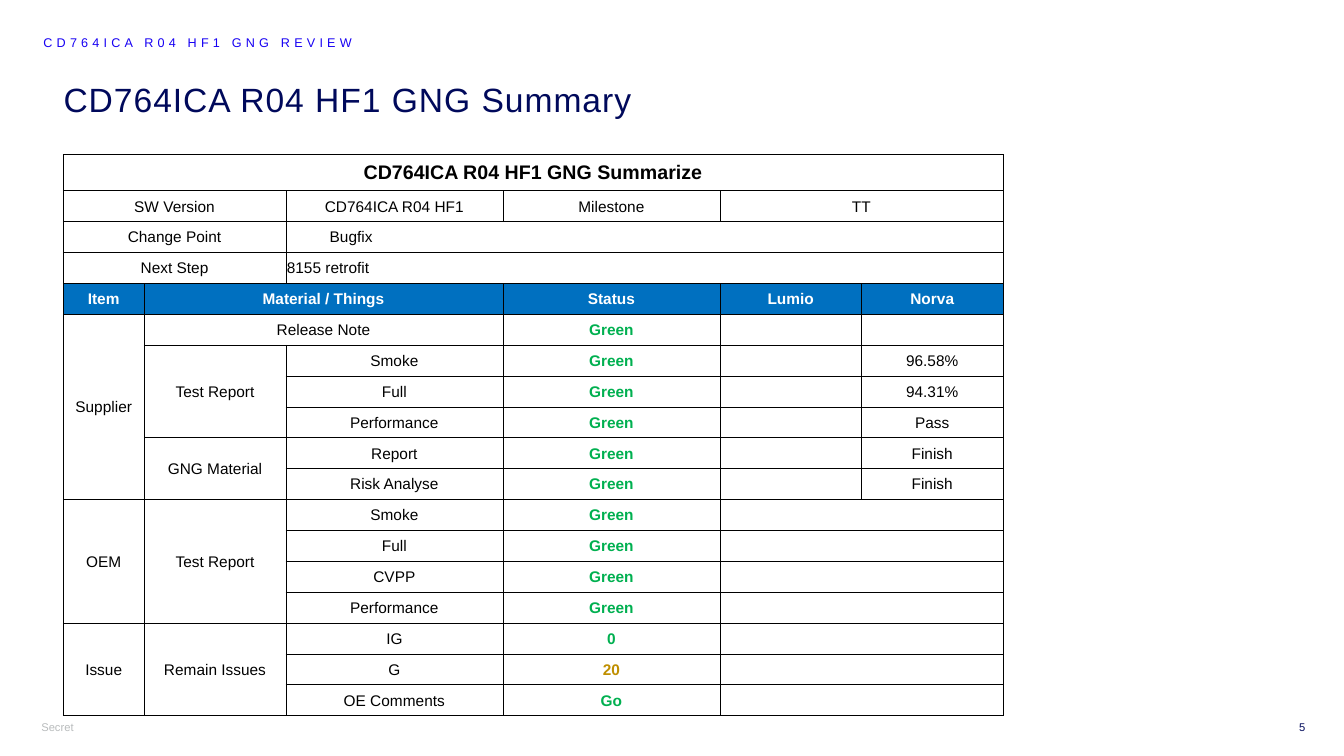
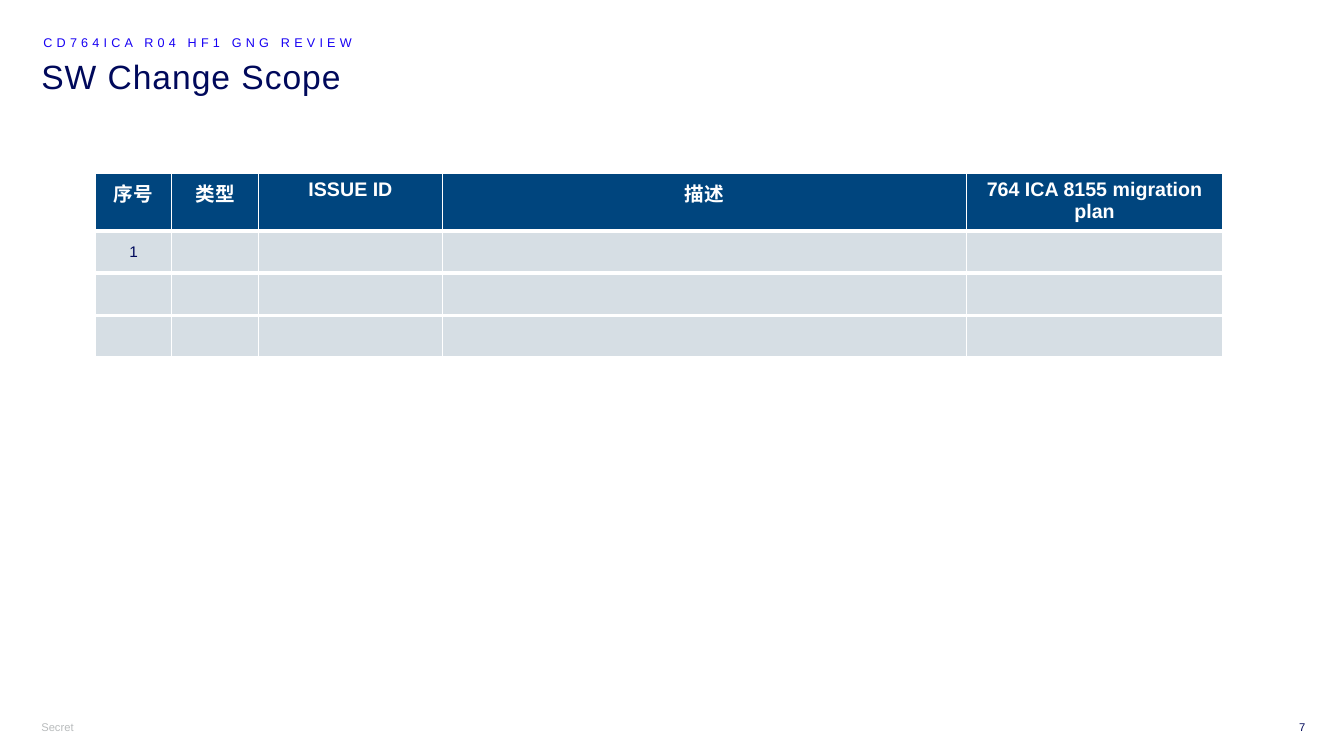
"""Build the two GNG review slides: summary table and software change scope."""
from pptx import Presentation
from pptx.dml.color import RGBColor
from pptx.enum.text import MSO_ANCHOR as Anchor, PP_ALIGN as Align
from pptx.oxml.ns import qn
from pptx.util import Pt
from lxml.etree import SubElement

FONT = "Arial"
NAVY, VIOLET, GREY = "00095B", "1700F3", "B9BCBD"
BLACK, WHITE = "000000", "FFFFFF"
GREEN, AMBER = "00B050", "BF8F00"
SUMMARY_HEAD, SCOPE_HEAD, SCOPE_BODY = "0070C0", "00457E", "D6DEE4"

LEFT, UP = "<", "^"
SUMMARY_LEFT, SUMMARY_TOP = 45.2, 110.3
SUMMARY_COLUMNS = [57.8, 101.2, 155, 155, 101.2, 101]
SUMMARY_ROWS = [26] + [22.06] * 17
HEADING_ROW = 4
STATUS_COLUMN = 3
BUGFIX_INDENT = 31.3
SUMMARY = [
    ["CD764ICA R04 HF1 GNG Summarize", LEFT, LEFT, LEFT, LEFT, LEFT],
    ["SW Version", LEFT, "CD764ICA R04 HF1", "Milestone", "TT", LEFT],
    ["Change Point", LEFT, "Bugfix", LEFT, LEFT, LEFT],
    ["Next Step", LEFT, "8155 retrofit", LEFT, LEFT, LEFT],
    ["Item", "Material / Things", LEFT, "Status", "Lumio", "Norva"],
    ["Supplier", "Release Note", LEFT, "Green", "", ""],
    [UP, "Test Report", "Smoke", "Green", "", "96.58%"],
    [UP, UP, "Full", "Green", "", "94.31%"],
    [UP, UP, "Performance", "Green", "", "Pass"],
    [UP, "GNG Material", "Report", "Green", "", "Finish"],
    [UP, UP, "Risk Analyse", "Green", "", "Finish"],
    ["OEM", "Test Report", "Smoke", "Green", "", LEFT],
    [UP, UP, "Full", "Green", "", LEFT],
    [UP, UP, "CVPP", "Green", "", LEFT],
    [UP, UP, "Performance", "Green", "", LEFT],
    ["Issue", "Remain Issues", "IG", "0", "", LEFT],
    [UP, UP, "G", "20", "", LEFT],
    [UP, UP, "OE Comments", "Go", "", LEFT],
]

SCOPE_LEFT, SCOPE_TOP = 68.4, 124
SCOPE_COLUMNS = [54, 62.5, 131, 374.5, 183]
SCOPE_ROWS = [39.2] + [30.3] * 3
SCOPE = [
    ["序号", "类型", "ISSUE ID", "描述", "764 ICA 8155 migration plan"],
    ["1", "", "", "", ""],
    [""] * 5,
    [""] * 5,
]


def color(value):
    """Turn a hex string into a colour."""
    return RGBColor.from_string(value)


def style(para, size, tint, bold=False, align=Align.LEFT):
    """Set the font and alignment of one paragraph."""
    para.alignment = align
    para.font.name = FONT
    para.font.size = Pt(size)
    para.font.bold = bold
    para.font.color.rgb = color(tint)


def add_label(page, text, left, top, width, height, size, tint,
              align=Align.LEFT, spacing=0, line=1.0, wrap=True):
    """Add a one-line text box with optional letter spacing."""
    box = page.shapes.add_textbox(Pt(left), Pt(top), Pt(width), Pt(height))
    frame = box.text_frame
    frame.word_wrap = wrap
    frame.margin_left = frame.margin_right = 0
    para = frame.paragraphs[0]
    style(para, size, tint, align=align)
    para.line_spacing = line
    span = para.add_run()
    span.text = text
    if spacing:
        span._r.get_or_add_rPr().set("spc", str(round(spacing * 100)))


def add_page(deck, title, title_left, title_top, number):
    """Add a slide with its review line, title and footer."""
    page = deck.slides.add_slide(deck.slide_layouts[6])
    add_label(page, "Secret", 29.5, 511.2, 31, 17.3, 8, GREY, wrap=False)
    add_label(page, title, title_left, title_top, 828, 54, 24, NAVY,
              spacing=0.7, line=0.9)
    add_label(page, "CD764ICA R04 HF1 GNG REVIEW", 31, 22.3, 428, 17.3, 9,
              VIOLET, spacing=3, line=0.9)
    add_label(page, number, 907.2, 511.2, 25.2, 17.3, 8, NAVY,
              align=Align.RIGHT)
    return page


def set_borders(cell, tint, widths):
    """Draw the left, right, top and bottom borders of a cell."""
    properties = cell._tc.get_or_add_tcPr()
    for side, width in zip("LRTB", widths):
        line = SubElement(properties, qn(f"a:ln{side}"), w=str(Pt(width)))
        fill = SubElement(line, qn("a:solidFill"))
        SubElement(fill, qn("a:srgbClr"), val=tint)


def set_margins(cell, left, top, right, bottom):
    """Set the inner margins of a cell."""
    cell.margin_left, cell.margin_top = Pt(left), Pt(top)
    cell.margin_right, cell.margin_bottom = Pt(right), Pt(bottom)


def set_fill(cell, tint):
    """Fill a cell, or leave it clear when there is no colour."""
    if tint:
        cell.fill.solid()
        cell.fill.fore_color.rgb = color(tint)
    else:
        cell.fill.background()


def merge_spans(table, grid):
    """Merge each cell with the LEFT and UP marks that follow it."""
    for row, texts in enumerate(grid):
        for column, text in enumerate(texts):
            if text in (LEFT, UP):
                continue
            last_row, last_column = row, column
            while last_column + 1 < len(texts) and texts[last_column + 1] == LEFT:
                last_column += 1
            while last_row + 1 < len(grid) and grid[last_row + 1][column] == UP:
                last_row += 1
            if (last_row, last_column) != (row, column):
                table.cell(row, column).merge(table.cell(last_row, last_column))


def add_grid(page, grid, left, top, widths, heights, format_cell):
    """Add a table from a grid of texts and format every cell."""
    table = page.shapes.add_table(len(grid), len(widths), Pt(left), Pt(top),
                                  Pt(sum(widths)), Pt(sum(heights))).table
    table.first_row = table.horz_banding = False
    for column, width in zip(table.columns, widths):
        column.width = Pt(width)
    for row, height in zip(table.rows, heights):
        row.height = Pt(height)
    for row, texts in enumerate(grid):
        for column, text in enumerate(texts):
            cell = table.cell(row, column)
            if text not in (LEFT, UP):
                cell.text = text
            format_cell(cell, row, column, text)
    merge_spans(table, grid)


def format_summary(cell, row, column, text):
    """Format one cell of the summary table."""
    heading = row == HEADING_ROW
    status = row > HEADING_ROW and column == STATUS_COLUMN
    note = row in (2, 3) and column == 2
    tint = WHITE if heading else BLACK
    if status:
        tint = AMBER if text == "20" else GREEN
    set_borders(cell, BLACK, [0.5] * 4)
    set_fill(cell, SUMMARY_HEAD if heading else None)
    set_margins(cell, BUGFIX_INDENT if text == "Bugfix" else 0.7, 0.7, 0.7, 0)
    cell.vertical_anchor = Anchor.MIDDLE
    style(cell.text_frame.paragraphs[0], 14 if row == 0 else 11, tint,
          bold=row == 0 or heading or status,
          align=Align.LEFT if note else Align.CENTER)


def format_scope(cell, row, column, text):
    """Format one cell of the change scope table."""
    heading = row == 0
    set_borders(cell, WHITE, [1, 1, 1 if heading else 3, 3])
    set_fill(cell, SCOPE_HEAD if heading else SCOPE_BODY)
    set_margins(cell, 7.2, 3.6, 7.2, 3.6)
    cell.vertical_anchor = Anchor.TOP if heading else Anchor.MIDDLE
    style(cell.text_frame.paragraphs[0], 14 if heading else 11,
          WHITE if heading else NAVY, bold=heading, align=Align.CENTER)


def main():
    """Build and save the deck."""
    deck = Presentation()
    deck.slide_width, deck.slide_height = Pt(960), Pt(540)
    summary = add_page(deck, "CD764ICA R04 HF1 GNG Summary", 45.4, 56.2, "5")
    add_grid(summary, SUMMARY, SUMMARY_LEFT, SUMMARY_TOP, SUMMARY_COLUMNS,
             SUMMARY_ROWS, format_summary)
    scope = add_page(deck, "SW Change Scope", 29.5, 39.6, "7")
    add_grid(scope, SCOPE, SCOPE_LEFT, SCOPE_TOP, SCOPE_COLUMNS,
             SCOPE_ROWS, format_scope)
    deck.save("out.pptx")


if __name__ == "__main__":
    main()
